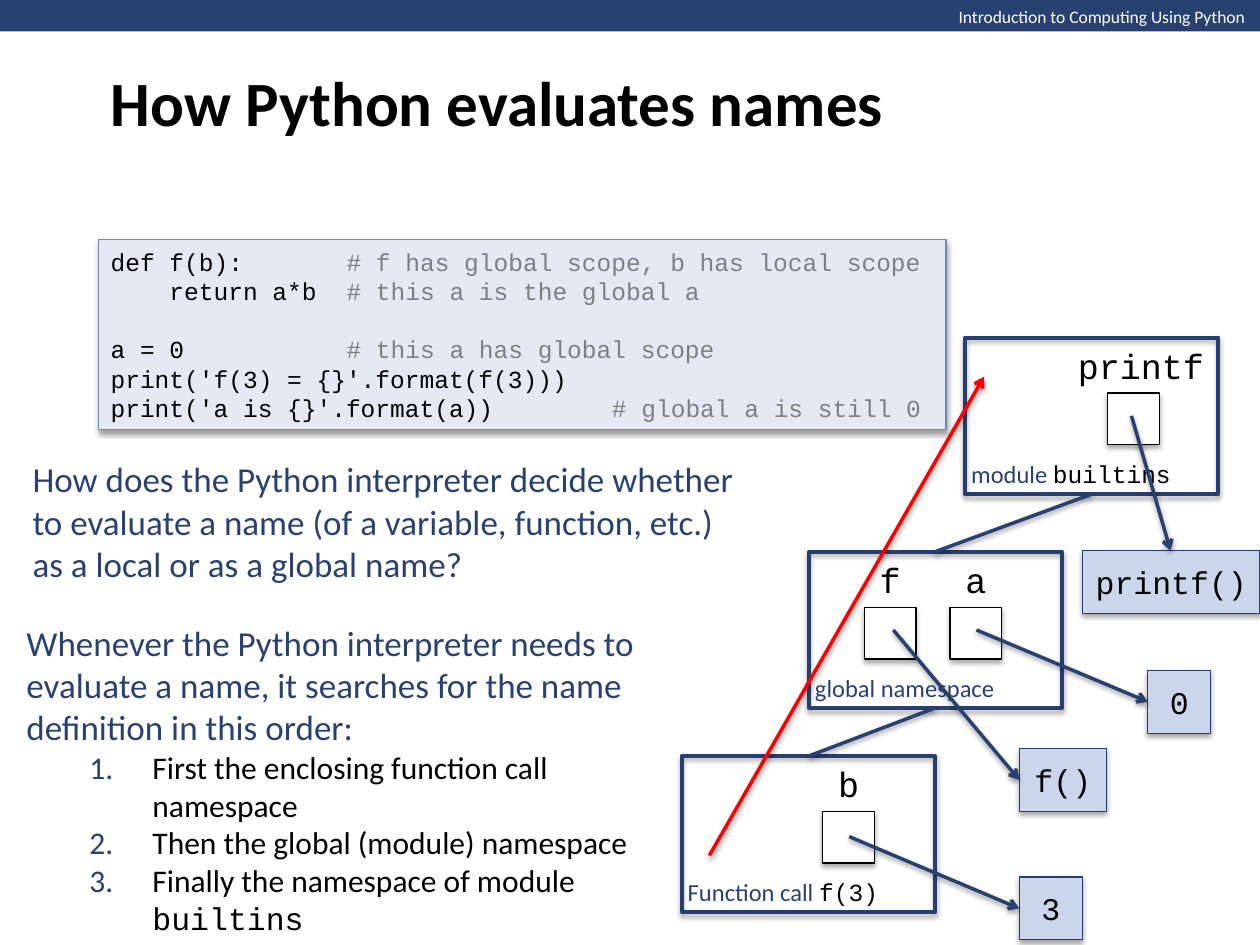
import lxml.etree
import pptx
import pptx.dml.color
import pptx.enum.shapes
import pptx.enum.text
import pptx.oxml.ns
import pptx.util

Inches = pptx.util.Inches
Pt = pptx.util.Pt
qn = pptx.oxml.ns.qn
RGBColor = pptx.dml.color.RGBColor
Align = pptx.enum.text.PP_ALIGN
Anchor = pptx.enum.text.MSO_ANCHOR

NAVY = RGBColor(0x29, 0x41, 0x71)
OUTLINE = RGBColor(0x26, 0x3F, 0x70)
VALUE_FILL = RGBColor(0xCB, 0xD6, 0xEC)
CODE_FILL = RGBColor(0xE3, 0xE8, 0xF2)
CODE_LINE = RGBColor(0x70, 0x88, 0xBA)
GRAY = RGBColor(0x7F, 0x7F, 0x7F)
RED = RGBColor(0xFF, 0x00, 0x00)
BLACK = RGBColor(0, 0, 0)
WHITE = RGBColor(0xFF, 0xFF, 0xFF)
SANS = "Calibri"
MONO = "Courier New"


def format_paragraph(paragraph, size, face, color, align=Align.LEFT, bold=False):
    paragraph.alignment = align
    font = paragraph.font
    font.size, font.name, font.bold = Pt(size), face, bold
    font.color.rgb = color


def add_run(paragraph, words, face=None, color=None):
    run = paragraph.add_run()
    run.text = words
    if face:
        run.font.name = face
    if color is not None:
        run.font.color.rgb = color


def cast_shadow(effects, opacity, distance):
    shadow = lxml.etree.SubElement(
        effects, qn("a:outerShdw"), blurRad=str(Pt(3.1)), dist=str(Pt(distance)),
        dir="5400000", rotWithShape="0")
    tint = lxml.etree.SubElement(shadow, qn("a:srgbClr"), val="000000")
    lxml.etree.SubElement(tint, qn("a:alpha"), val=str(opacity * 1000))


def add_box(slide, left, top, width, height, fill=None, line=None,
            weight=0.75, shadow=(35, 1.8)):
    box = slide.shapes.add_shape(
        pptx.enum.shapes.MSO_SHAPE.RECTANGLE,
        Inches(left), Inches(top), Inches(width), Inches(height))
    if fill is None:
        box.fill.background()
    else:
        box.fill.solid()
        box.fill.fore_color.rgb = fill
    if line is None:
        box.line.fill.background()
    else:
        box.line.color.rgb = line
        box.line.width = Pt(weight)
    box.shadow.inherit = False
    if shadow:
        cast_shadow(box._element.spPr.find(qn("a:effectLst")), *shadow)
    return box


def add_label(slide, left, top, width, height, size, face, color, runs,
              align=Align.LEFT, wrap=True, anchor=Anchor.MIDDLE):
    label = slide.shapes.add_textbox(
        Inches(left), Inches(top), Inches(width), Inches(height))
    frame = label.text_frame
    frame.word_wrap = wrap
    frame.vertical_anchor = anchor
    frame.auto_size = pptx.enum.text.MSO_AUTO_SIZE.SHAPE_TO_FIT_TEXT
    format_paragraph(frame.paragraphs[0], size, face, color, align)
    for run in runs:
        add_run(frame.paragraphs[0], *run)


def add_link(slide, start, end, color=NAVY, arrow=True):
    link = slide.shapes.add_connector(
        pptx.enum.shapes.MSO_CONNECTOR.STRAIGHT,
        *(Inches(value) for value in (*start, *end)))
    link.line.color.rgb = color
    link.line.width = Pt(2)
    properties = link._element.spPr
    if arrow:
        lxml.etree.SubElement(properties.find(qn("a:ln")), qn("a:tailEnd"), type="arrow")
    cast_shadow(lxml.etree.SubElement(properties, qn("a:effectLst")), 38, 1.6)


def place(placeholder, left, top, width, height):
    placeholder.left, placeholder.top = Inches(left), Inches(top)
    placeholder.width, placeholder.height = Inches(width), Inches(height)
    frame = placeholder.text_frame
    frame.word_wrap = True
    frame.auto_size = pptx.enum.text.MSO_AUTO_SIZE.NONE
    frame.vertical_anchor = Anchor.MIDDLE
    return frame


def add_header(slide, left, top, width, height):
    add_box(slide, left, top, width, height, NAVY, shadow=None)
    add_label(slide, left + width - 2.5, top, 2.5, 0.27, 10, SANS, WHITE,
              [("Introduction to Computing Using Python",)], wrap=False, anchor=Anchor.TOP)


def fill_title(slide, left, top, width, height):
    heading = place(slide.shapes.title, left, top, width, height).paragraphs[0]
    add_run(heading, "How Python evaluates names")
    format_paragraph(heading, 36, SANS, BLACK, bold=True)


def fill_search_order(slide, left, top, width, height):
    frame = place(slide.placeholders[1], left, top, width, height)
    intro = frame.paragraphs[0]
    add_run(intro, "Whenever the Python interpreter needs to evaluate a name, "
                   "it searches for the name definition in this order:")
    intro.space_before = Pt(0)
    properties = intro._p.get_or_add_pPr()
    properties.set("marL", "0")
    properties.set("indent", "0")
    lxml.etree.SubElement(properties, qn("a:buNone"))
    format_paragraph(intro, 20, SANS, NAVY)

    steps = [
        [("First the enclosing function call namespace",)],
        [("Then the global (module) namespace",)],
        [("Finally the namespace of module ",), ("builtins", MONO)],
    ]
    for runs in steps:
        step = frame.add_paragraph()
        step.level = 1
        step.space_before = Pt(0)
        properties = step._p.get_or_add_pPr()
        properties.set("marL", str(Inches(1)))
        properties.set("indent", str(Inches(-0.5)))
        bullet_color = lxml.etree.SubElement(properties, qn("a:buClr"))
        lxml.etree.SubElement(bullet_color, qn("a:srgbClr"), val=str(NAVY))
        lxml.etree.SubElement(properties, qn("a:buFont"), typeface="+mj-lt")
        lxml.etree.SubElement(properties, qn("a:buAutoNum"), type="arabicPeriod")
        format_paragraph(step, 18, SANS, BLACK)
        for run in runs:
            add_run(step, *run)


def add_code(slide, left, top, width, height):
    frame = add_box(slide, left, top, width, height, CODE_FILL, CODE_LINE,
                    shadow=(38, 1.6)).text_frame
    frame.word_wrap = True
    frame.vertical_anchor = Anchor.MIDDLE
    listing = [
        ("def f(b):", 16, "# f has global scope, b has local scope", 0),
        ("    return a*b", 16, "# this a is the global a", 0),
        ("a = 0", 16, "# this a has global scope", 16.5),
        ("print('f(3) = {}'.format(f(3)))", 0, "", 0),
        ("print('a is {}'.format(a))", 34, "# global a is still 0", 0),
    ]
    for number, (code, comment_column, comment, gap) in enumerate(listing):
        line = frame.add_paragraph() if number else frame.paragraphs[0]
        line.space_before = Pt(gap)
        format_paragraph(line, 14, MONO, BLACK)
        add_run(line, code.ljust(comment_column))
        if comment:
            add_run(line, comment, color=GRAY)


def add_namespace(slide, left, top, caption, caption_width, names):
    for name, cell_left, label_left, label_width in names:
        add_box(slide, left + cell_left, top + 0.44, 0.41, 0.41, WHITE, BLACK)
        add_label(slide, left + label_left, top, label_width, 0.44, 20, MONO, BLACK,
                  [(name,)], Align.CENTER)
    add_box(slide, left, top, 2.01, 1.24, line=OUTLINE, weight=2.25)
    add_label(slide, left - 0.05, top + 0.91, caption_width, 0.34, 14, SANS, NAVY,
              caption, wrap=False)


def add_value(slide, left, top, width, value):
    frame = add_box(slide, left, top, width, 0.5, VALUE_FILL, OUTLINE).text_frame
    frame.vertical_anchor = Anchor.MIDDLE
    format_paragraph(frame.paragraphs[0], 18, MONO, BLACK, Align.CENTER)
    add_run(frame.paragraphs[0], value)


def add_diagram(slide):
    add_namespace(slide, 5.41, 6, [("Function call ",), ("f(3)", MONO, BLACK)], 1.72,
                  [("b", 1.12, 0.97, 0.71)])
    add_namespace(slide, 6.42, 4.38, [("global namespace",)], 1.64,
                  [("f", 0.44, 0.29, 0.71), ("a", 1.12, 0.97, 0.71)])
    add_namespace(slide, 7.66, 2.68, [("module ",), ("builtins", MONO, BLACK)], 1.9,
                  [("printf", 1.13, 0.77, 1.25)])

    for value, left, top, width in [("3", 8.09, 6.96, 0.5), ("0", 9.11, 5.32, 0.5),
                                    ("f()", 8.09, 5.94, 0.69), ("printf()", 8.59, 4.37, 1.41)]:
        add_value(slide, left, top, width, value)

    for cell, value in [((6.74, 6.64), (8.09, 7.21)), ((7.75, 5), (9.11, 5.57)),
                        ((7.09, 5), (8.09, 6.19)), ((8.98, 3.3), (9.29, 4.37))]:
        add_link(slide, cell, value)
    for inner, outer in [((6.42, 6), (7.42, 5.62)), ((7.42, 4.38), (8.67, 3.92))]:
        add_link(slide, inner, outer, arrow=False)
    add_link(slide, (5.63, 6.79), (7.81, 2.99), RED)


def main():
    deck = pptx.Presentation()
    deck.slide_width, deck.slide_height = Inches(10), Inches(7.5)
    slide = deck.slides.add_slide(deck.slide_layouts[1])
    add_header(slide, 0, 0, 10.01, 0.25)
    fill_title(slide, 0.78, 0, 8.5, 1.61)
    add_label(slide, 0.16, 3.58, 5.88, 1.11, 20, SANS, NAVY,
              [("How does the Python interpreter decide whether to evaluate a name "
                "(of a variable, function, etc.) as a local or as a global name?",)])
    fill_search_order(slide, 0.11, 4.87, 5.25, 2.63)
    add_code(slide, 0.78, 1.9, 6.73, 1.51)
    add_diagram(slide)
    deck.save("out.pptx")


if __name__ == "__main__":
    main()
